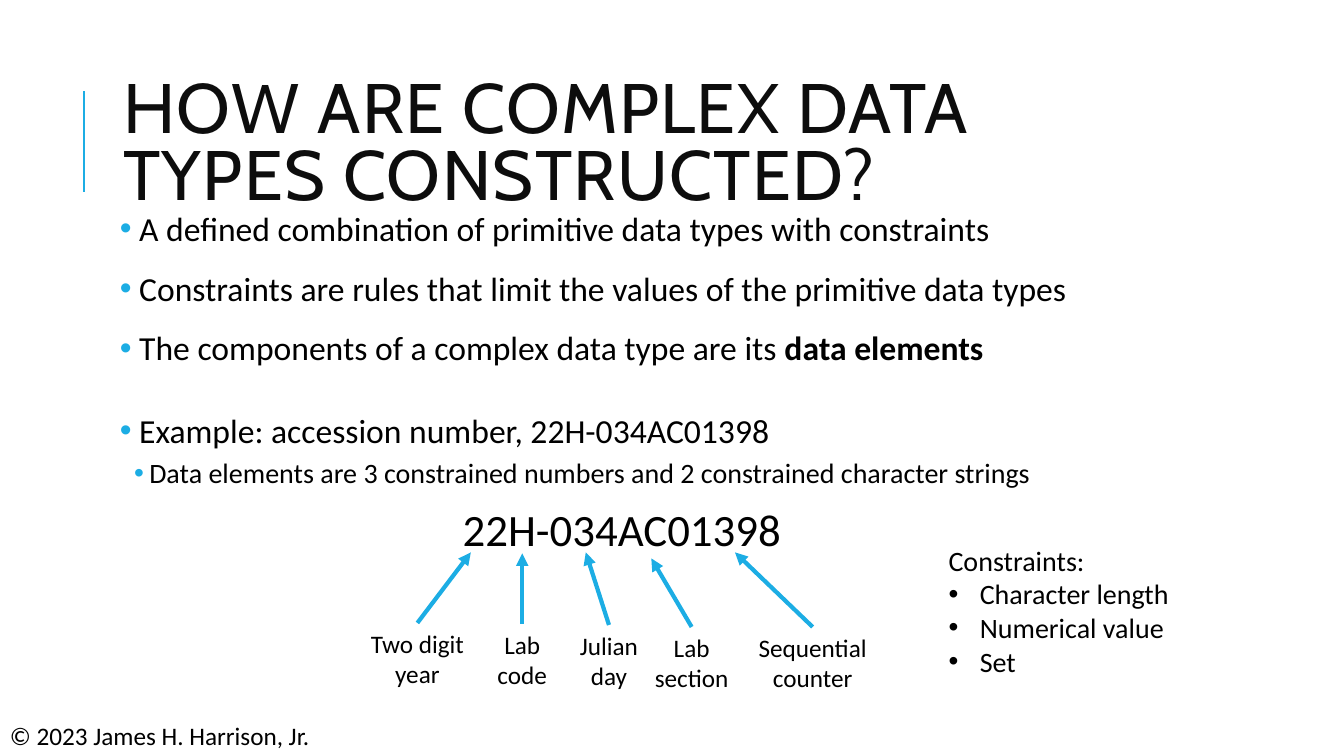
from dataclasses import dataclass

from lxml import etree
from pptx import Presentation, util as u
from pptx.dml.color import RGBColor
from pptx.enum import shapes, text
from pptx.oxml import ns


@dataclass(frozen=True)
class Theme:
    accent: RGBColor = RGBColor(0x1C, 0xAD, 0xE4)
    heading: RGBColor = RGBColor(0x0D, 0x0D, 0x0D)
    ink: RGBColor = RGBColor(0, 0, 0)
    heading_font: str = "Cabin"
    body_font: str = "Calibri"
    title: int = 50
    number: int = 32
    bullet: int = 24
    detail: int = 20
    label: int = 18


theme = Theme()


def write(paragraph, words, size, bold=None, bullet=None, indent=0, hang=0, **spacing):
    """Add a run, and optionally a bullet, to a paragraph."""
    if bullet:
        properties = paragraph._p.get_or_add_pPr()
        properties.set("marL", str(u.Inches(indent)))
        properties.set("indent", str(-u.Inches(hang)))
        tint = etree.SubElement(properties, ns.qn("a:buClr"))
        etree.SubElement(tint, ns.qn("a:srgbClr"), val=str(bullet))
        etree.SubElement(properties, ns.qn("a:buFont"), typeface="Arial")
        etree.SubElement(properties, ns.qn("a:buChar"), char="•")
    for name, value in spacing.items():
        setattr(paragraph, name, value)
    run = paragraph.add_run()
    run.text = words
    look = {"name": theme.body_font, "size": u.Pt(size), "bold": bold}
    for name, value in look.items():
        setattr(run.font, name, value)
    run.font.color.rgb = theme.ink
    return run


def draw_line(parent, start, end, width, arrow=False):
    """Draw an accent line, with an optional arrowhead at its end."""
    line = parent.add_connector(
        shapes.MSO_CONNECTOR.STRAIGHT, *(u.Inches(v) for v in (*start, *end)))
    line.line.color.rgb = theme.accent
    line.line.width = u.Pt(width)
    if arrow:
        etree.SubElement(line.line._get_or_add_ln(), ns.qn("a:tailEnd"), type="triangle")
    etree.SubElement(line._element.spPr, ns.qn("a:effectLst"))


deck = Presentation()
deck.slide_width, deck.slide_height = u.Inches(13.33), u.Inches(7.5)
slide = deck.slides.add_slide(deck.slide_layouts[5])

# Title with its accent rule
draw_line(slide.shapes, (0.83, 1.9), (0.83, 0.9), 1.5)
title = slide.shapes.title
title_place = {"left": 1.12, "top": 0.64, "width": 10.63, "height": 1.64}
for name, value in title_place.items():
    setattr(title, name, u.Inches(value))
title_format = {"vertical_anchor": text.MSO_ANCHOR.MIDDLE,
                "auto_size": text.MSO_AUTO_SIZE.NONE, "word_wrap": True}
for name, value in title_format.items():
    setattr(title.text_frame, name, value)
heading = title.text_frame.paragraphs[0]
heading.alignment = text.PP_ALIGN.LEFT
heading.line_spacing = 0.8
question = write(heading, "HOW ARE COMPLEX DATA TYPES CONSTRUCTED?", theme.title)
question.font.name = theme.heading_font
question.font.color.rgb = theme.heading
question.font._element.set("spc", "100")

# Main points
points = slide.shapes.add_textbox(*map(u.Inches, (1.14, 2.01, 10.51, 3.34))).text_frame
points.word_wrap = True
for side in ("left", "top", "right", "bottom"):
    setattr(points, f"margin_{side}", u.Inches(0.05))
statements = [
    ("A defined combination of primitive data types with constraints", "", 0),
    ("Constraints are rules that limit the values of the primitive data types", "", 12),
    ("The components of a complex data type are its ", "data elements", 12),
    ("Example: accession number, 22H-034AC01398", "", 28),
]
for i, (words, key_term, before) in enumerate(statements):
    point = points.add_paragraph() if i else points.paragraphs[0]
    write(point, words, theme.bullet, bullet=theme.accent, indent=0.19, hang=0.19,
          space_before=u.Pt(before), space_after=u.Pt(2))
    if key_term:
        write(point, key_term, theme.bullet, bold=True)
detail = points.add_paragraph()
detail.level = 1
write(detail, "Data elements are 3 constrained numbers and 2 constrained character strings",
      theme.detail, bullet=theme.accent, indent=0.29, hang=0.15,
      space_before=u.Pt(2), space_after=u.Pt(4))

# Accession number and copyright line
single_lines = [
    ("22H-034AC01398", theme.number, (4.49, 4.93, 3.39, 0.64)),
    ("© 2023 James H. Harrison, Jr.", theme.label, (0, 7.1, 3.21, 0.4)),
]
for words, size, place in single_lines:
    frame = slide.shapes.add_textbox(*map(u.Inches, place)).text_frame
    frame.word_wrap = False
    write(frame.paragraphs[0], words, size)

# Constraints list
constraints = slide.shapes.add_textbox(*map(u.Inches, (9.31, 5.34, 2.54, 1.45))).text_frame
constraints.word_wrap = True
write(constraints.paragraphs[0], "Constraints:", theme.detail)
for kind in ("Character length", "Numerical value", "Set"):
    write(constraints.add_paragraph(), kind, theme.detail,
          bullet=theme.ink, indent=0.31, hang=0.31)

# Labelled parts: each arrow rises from the top centre of its label
parts = [
    (("Two digit", "year"), 4.14, 6.18, 1.14, (4.67, 5.48)),
    (("Lab", "code"), 5.18, 6.19, 0.7, (5.18, 5.49)),
    (("Julian", "day"), 6.04, 6.2, 0.79, (5.81, 5.48)),
    (("Lab", "section"), 6.86, 6.22, 0.94, (6.46, 5.54)),
    (("Sequential", "counter"), 8.06, 6.22, 1.29, (7.29, 5.48)),
]
for label_lines, centre, top, width, tip in parts:
    part = slide.shapes.add_group_shape().shapes
    label = part.add_textbox(
        *map(u.Inches, (centre - width / 2, top, width, 0.71))).text_frame
    label.word_wrap = False
    for i, words in enumerate(label_lines):
        line = label.add_paragraph() if i else label.paragraphs[0]
        write(line, words, theme.label, alignment=text.PP_ALIGN.CENTER)
    draw_line(part, (centre, top), tip, 3, arrow=True)

deck.save("out.pptx")
